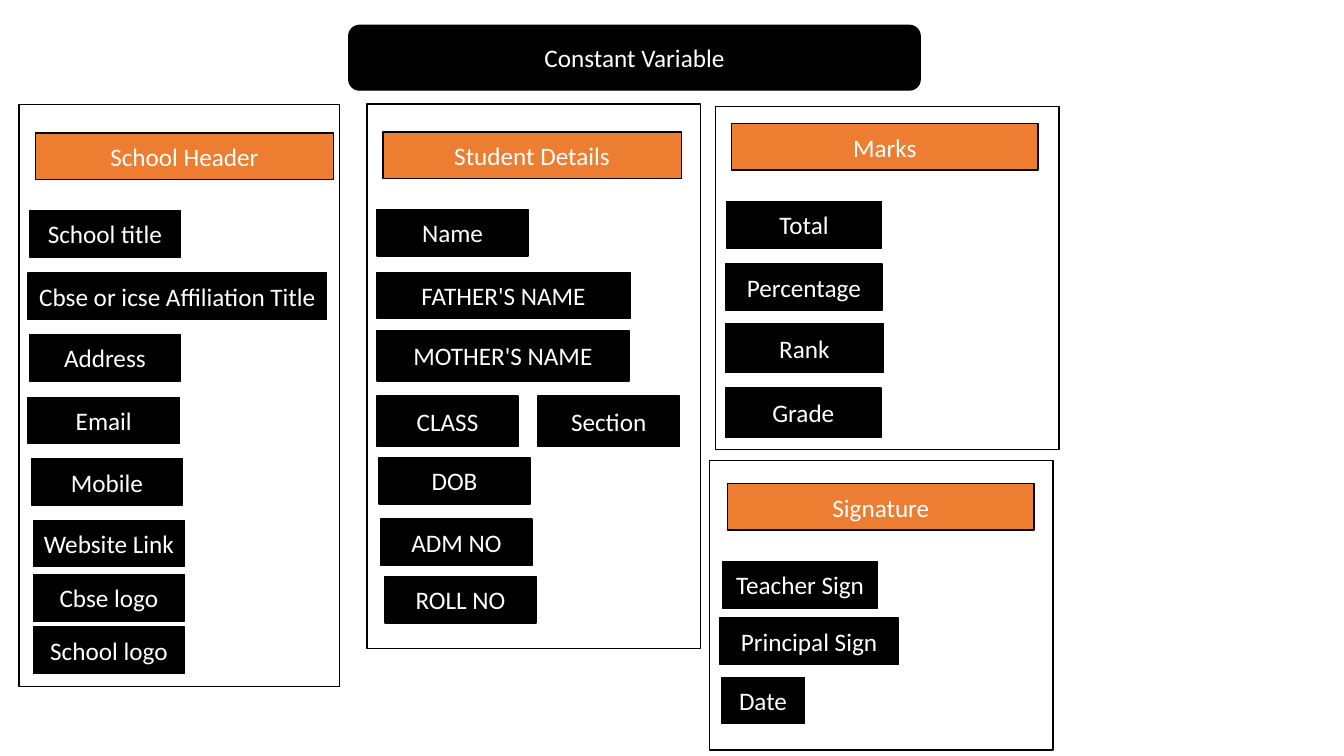
import pptx
import pptx.dml.color
import pptx.enum.shapes
import pptx.enum.text
import pptx.util

Cm = pptx.util.Cm
BLACK = pptx.dml.color.RGBColor(0x00, 0x00, 0x00)
WHITE = pptx.dml.color.RGBColor(0xFF, 0xFF, 0xFF)
ORANGE = pptx.dml.color.RGBColor(0xED, 0x7D, 0x31)
RECTANGLE = pptx.enum.shapes.MSO_SHAPE.RECTANGLE
ROUNDED = pptx.enum.shapes.MSO_SHAPE.ROUNDED_RECTANGLE

LABEL_FORMAT = {"name": "Calibri", "size": pptx.util.Pt(18)}
ROW_HEIGHT = 1.17
TALL_ROW = 1.27
MARK_ROW = 1.24
FIELD_WIDTH = 3.81

# Boxes are (left, top, width, height) in centimetres; a field without a
# width or height takes FIELD_WIDTH or ROW_HEIGHT.
SECTIONS = [
    {
        "panel": (0.48, 2.64, 8.08, 14.66),
        "heading": ("School Header", 0.89, 3.35, 7.52),
        "fields": [
            ("School title", 0.74, 5.31),
            ("Cbse or icse Affiliation Title", 0.71, 6.88, 7.52),
            ("Address", 0.74, 8.43),
            ("Email", 0.71, 10.01),
            ("Mobile", 0.79, 11.56),
            ("Website Link", 0.84, 13.11),
            ("Cbse logo", 0.84, 14.48),
            ("School logo", 0.84, 15.8),
        ],
    },
    {
        "panel": (9.25, 2.62, 8.41, 13.72),
        "heading": ("Student Details", 9.65, 3.33, 7.52),
        "fields": [
            ("Name", 9.5, 5.28),
            ("FATHER'S NAME", 9.5, 6.86, 6.38),
            ("MOTHER'S NAME", 9.5, 8.33, 6.35, TALL_ROW),
            ("CLASS", 9.5, 9.98, 3.56, TALL_ROW),
            ("Section", 13.56, 9.98, 3.56, TALL_ROW),
            ("DOB", 9.55, 11.53),
            ("ADM NO", 9.6, 13.08),
            ("ROLL NO", 9.7, 14.53),
        ],
    },
    {
        "panel": (18.03, 2.69, 8.66, 8.64),
        "heading": ("Marks", 18.44, 3.12, 7.72),
        "fields": [
            ("Total", 18.31, 5.08, 3.91),
            ("Percentage", 18.29, 6.65, 3.94),
            ("Rank", 18.29, 8.15, 3.96, MARK_ROW),
            ("Grade", 18.29, 9.78, 3.91, MARK_ROW),
        ],
    },
    {
        "panel": (17.88, 11.61, 8.66, 7.29),
        "heading": ("Signature", 18.34, 12.19, 7.72),
        "fields": [
            ("Teacher Sign", 18.21, 14.15, 3.91),
            ("Principal Sign", 18.14, 15.57, 4.5),
            ("Date", 18.19, 17.07, 2.08),
        ],
    },
]


def add_outlined(slide, box, preset=RECTANGLE):
    """Add an unfilled shape with a thin black outline."""
    outlined = slide.shapes.add_shape(preset, *(Cm(length) for length in box))
    outlined.shadow.inherit = False
    outlined.fill.background()
    outlined.line.color.rgb = BLACK
    outlined.line.width = pptx.util.Pt(1)
    return outlined


def add_label(slide, wording, box, color=BLACK, preset=RECTANGLE):
    label = add_outlined(slide, box, preset)
    label.fill.solid()
    label.fill.fore_color.rgb = color
    frame = label.text_frame
    frame.word_wrap = False
    frame.vertical_anchor = pptx.enum.text.MSO_ANCHOR.MIDDLE
    paragraph = frame.paragraphs[0]
    paragraph.alignment = pptx.enum.text.PP_ALIGN.CENTER
    run = paragraph.add_run()
    run.text = wording
    for attribute, value in LABEL_FORMAT.items():
        setattr(run.font, attribute, value)
    run.font.color.rgb = WHITE


def add_field(slide, wording, left, top, width=FIELD_WIDTH,
              height=ROW_HEIGHT, color=BLACK):
    add_label(slide, wording, (left, top, width, height), color)


def add_section(slide, section):
    add_outlined(slide, section["panel"])
    add_field(slide, *section["heading"], color=ORANGE)
    for field in section["fields"]:
        add_field(slide, *field)


def main():
    presentation = pptx.Presentation()
    presentation.slide_width = Cm(33.87)
    presentation.slide_height = Cm(19.05)
    slide = presentation.slides.add_slide(presentation.slide_layouts[6])
    add_label(slide, "Constant Variable", (8.79, 0.64, 14.4, 1.63),
              preset=ROUNDED)
    for section in SECTIONS:
        add_section(slide, section)
    presentation.save("out.pptx")


if __name__ == "__main__":
    main()
